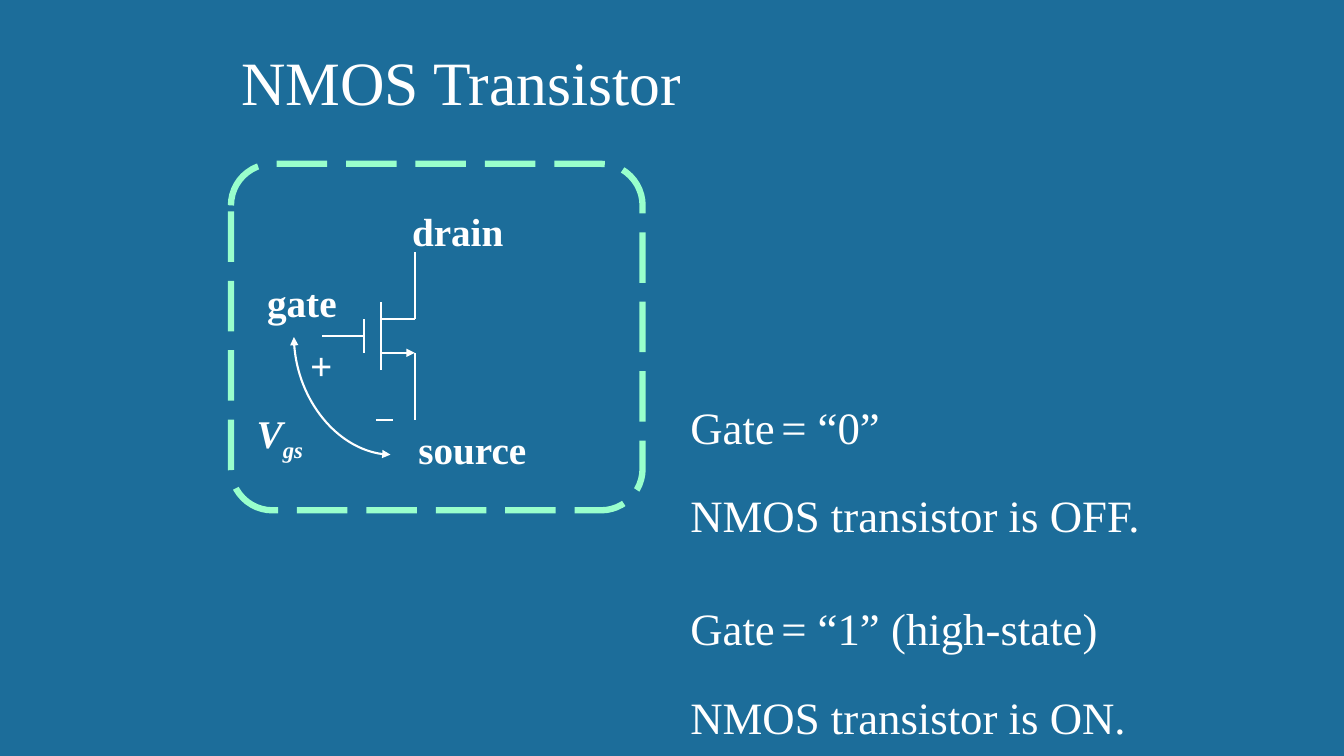
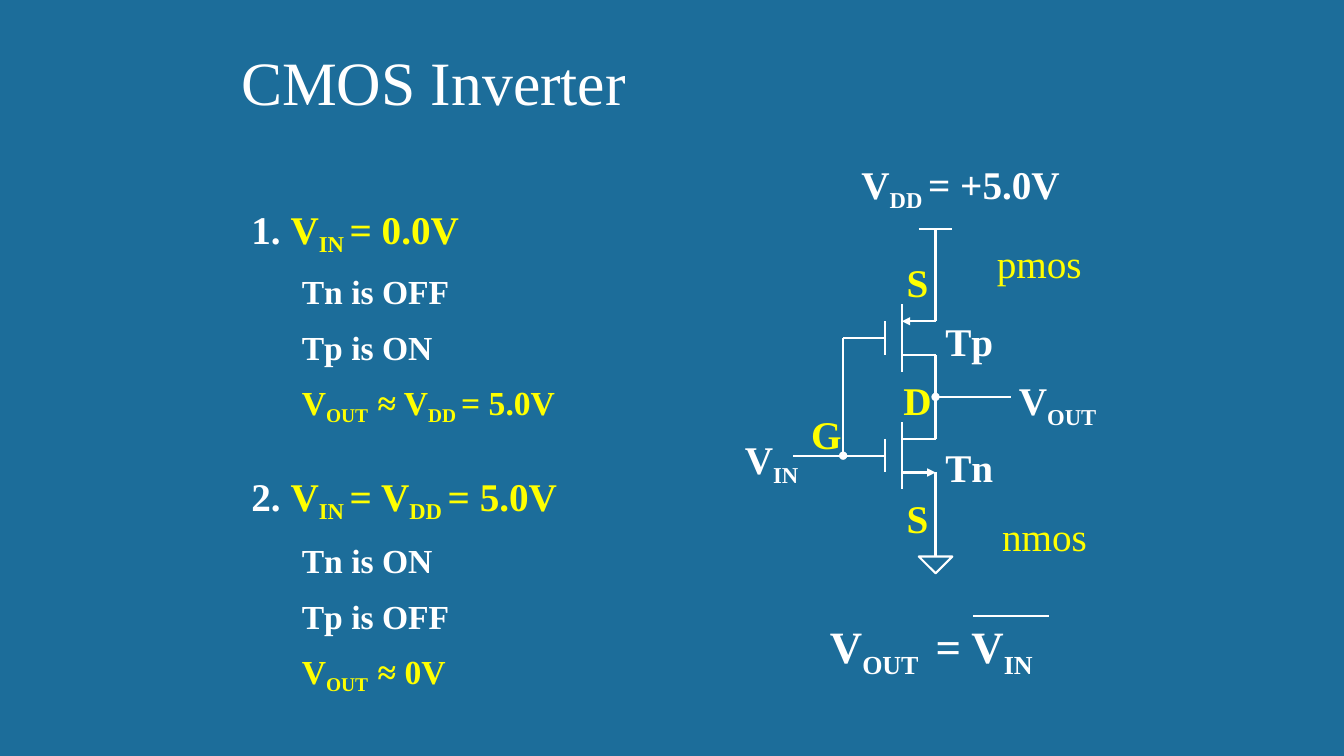
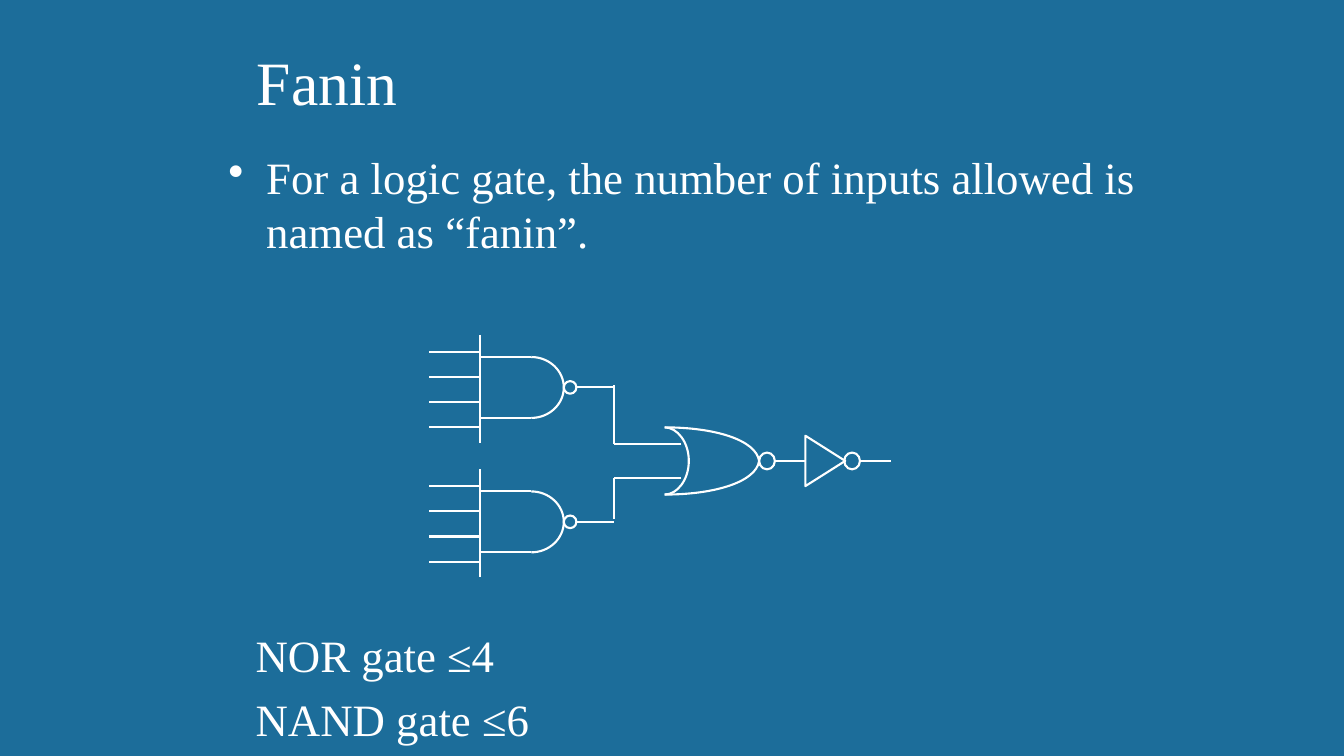
"""Build three slides on transistors, the CMOS inverter and fanin."""
from lxml import etree
from pptx import Presentation
from pptx.dml.color import RGBColor
from pptx.enum.dml import MSO_LINE
from pptx.enum.shapes import MSO_CONNECTOR, MSO_SHAPE
from pptx.enum.text import MSO_ANCHOR, MSO_AUTO_SIZE, PP_ALIGN
from pptx.oxml.ns import qn
from pptx.util import Pt

PX = 9525
FONT = "Times New Roman"
BLUE = RGBColor(0x1C, 0x6D, 0x9A)
WHITE = RGBColor(0xFF, 0xFF, 0xFF)
YELLOW = RGBColor(0xFF, 0xFF, 0x00)
MINT = RGBColor(0x99, 0xFF, 0xCC)
STRAIGHT, CURVE = MSO_CONNECTOR.STRAIGHT, MSO_CONNECTOR.CURVE
TRIANGLE, OVAL = MSO_SHAPE.ISOSCELES_TRIANGLE, MSO_SHAPE.OVAL
ROUNDED = MSO_SHAPE.ROUNDED_RECTANGLE
TOP, BOTTOM = MSO_ANCHOR.TOP, MSO_ANCHOR.BOTTOM
LEFT = PP_ALIGN.LEFT
LONG_DASH = MSO_LINE.LONG_DASH
NO_AUTOSIZE = MSO_AUTO_SIZE.NONE

NMOS_STATES = [
    ([("Gate", 32), (" ", 18), ("= “0”", 32)], 0),
    ([("NMOS transistor is OFF.", 32)], 0),
    ([("Gate", 32), (" ", 18), ("= “1” (high-state)", 32)], 18),
    ([("NMOS transistor is ON.", 32)], 0),
]
NMOS_LABELS = [
    ("drain", 383, 192, 127), ("source", 389, 400, 134),
    ("gate", 245, 260, 88), ("+", 286, 320, 42),
]
CASES = [
    ("1. ", "V|IN |= 0.0V", 1, ["Tn is OFF", "Tp is ON"],
     "V|OUT  |≈ V|DD |= 5.0V"),
    ("2. ", "V|IN |= V|DD |= 5.0V", 2, ["Tn is ON", "Tp is OFF"],
     "V|OUT  |≈ 0V"),
]
INVERTER_LABELS = [
    ("V|DD |= +5.0V", 811, 153, 225, WHITE, True),
    ("V|OUT", 961, 359, 110, WHITE, True),
    ("V|IN", 700, 415, 85, WHITE, True),
    ("Tp", 891, 297, 75, WHITE, True),
    ("Tn", 891, 417, 75, WHITE, True),
    ("G", 763, 385, 50, YELLOW, True),
    ("D", 851, 353, 50, YELLOW, True),
    ("S", 854, 241, 45, YELLOW, True),
    ("S", 854, 465, 45, YELLOW, True),
    ("pmos", 940, 222, 110, YELLOW, False),
    ("nmos", 945, 482, 110, YELLOW, False),
]
FANIN = "For a logic gate, the number of inputs allowed is named as “fanin”."
LIMITS = ["NOR gate ≤4", "NAND gate ≤6"]


def add_runs(paragraph, text, size, color=WHITE, bold=False, italic=False, drop=25):
    for index, piece in enumerate(text.split("|")):
        run = paragraph.add_run()
        run.text = piece
        font = run.font
        font.name, font.size, font.bold, font.italic = FONT, Pt(size), bold, italic
        font.color.rgb = color
        if index % 2:
            run._r.get_or_add_rPr().set("baseline", str(-1000 * drop))


def add_box(slide, left, top, width, height, anchor=TOP):
    box = slide.shapes.add_textbox(left * PX, top * PX, width * PX, height * PX)
    frame = box.text_frame
    frame.word_wrap = True
    frame.vertical_anchor = anchor
    return frame


def add_label(slide, text, left, top, width, color=WHITE, bold=True, italic=False,
              size=28, height=55):
    frame = add_box(slide, left, top, width, height, BOTTOM)
    add_runs(frame.paragraphs[0], text, size, color, bold, italic)


def next_paragraph(frame, pitch, before=0):
    first = not frame.paragraphs[0].runs
    paragraph = frame.paragraphs[0] if first else frame.add_paragraph()
    paragraph.line_spacing = Pt(pitch)
    paragraph.space_before = Pt(0 if first else before)
    return paragraph


def add_wire(slide, x1, y1, x2, y2, head=None, tail=None, kind=STRAIGHT):
    wire = slide.shapes.add_connector(kind, x1 * PX, y1 * PX, x2 * PX, y2 * PX)
    wire.line.color.rgb = WHITE
    wire.line.width = Pt(1.5)
    line = wire.line._get_or_add_ln()
    for tag, end in (("a:headEnd", head), ("a:tailEnd", tail)):
        if end:
            etree.SubElement(line, qn(tag)).set("type", end)
    etree.SubElement(wire._element.spPr, qn("a:effectLst"))
    return wire


def outline(shape, color=WHITE, width=1.5):
    shape.shadow.inherit = False
    shape.fill.background()
    shape.line.color.rgb = color
    shape.line.width = Pt(width)


def add_outline(slide, kind, left, top, width, height, color=WHITE, weight=1.5):
    shape = slide.shapes.add_shape(kind, left * PX, top * PX, width * PX, height * PX)
    outline(shape, color, weight)
    return shape


def add_curve(slide, start, *controls):
    builder = slide.shapes.build_freeform(start[0] * PX, start[1] * PX, scale=1.0)
    builder.add_line_segments([(x * PX, y * PX) for x, y in controls], close=False)
    shape = builder.convert_to_shape()
    outline(shape)
    segments = list(shape._element.iter(qn("a:lnTo")))
    outline_path = segments[0].getparent()
    for index in range(0, len(segments), 3):
        curve = etree.SubElement(outline_path, qn("a:cubicBezTo"))
        for segment in segments[index:index + 3]:
            curve.append(segment[0])
            outline_path.remove(segment)


def add_slide(presentation, title, left=220):
    slide = presentation.slides.add_slide(presentation.slide_layouts[5])
    shape = slide.shapes.title
    shape.left, shape.top, shape.width, shape.height = (
        left * PX, 37 * PX, 816 * PX, 80 * PX)
    frame = shape.text_frame
    frame.auto_size = NO_AUTOSIZE
    frame.vertical_anchor = BOTTOM
    paragraph = frame.paragraphs[0]
    paragraph.alignment = LEFT
    add_runs(paragraph, title, 44)
    return slide


def add_transistor(slide, plate, y, lead, top, bottom, p_type=False):
    channel, terminal = plate + 16, plate + 48
    add_wire(slide, plate, y, lead, y)
    add_wire(slide, plate, y - 16, plate, y + 16)
    add_wire(slide, channel, y - 32, channel, y + 32)
    add_wire(slide, channel, y - 16, terminal, y - 16,
             head="triangle" if p_type else None)
    add_wire(slide, channel, y + 16, terminal, y + 16,
             tail=None if p_type else "triangle")
    if top < y - 16:
        add_wire(slide, terminal, y - 16, terminal, top)
    add_wire(slide, terminal, y + 16, terminal, bottom)


def add_nand(slide, y):
    bar, shoulder, nose = 457, 506, 537
    top, bottom = y - 29, y + 29
    add_wire(slide, bar, y - 50, bar, y + 53)
    add_curve(slide, (shoulder, top), (523, top), (nose, y - 16), (nose, y),
              (nose, y + 16), (523, bottom), (shoulder, bottom))
    for edge in (top, bottom):
        add_wire(slide, shoulder, edge, bar, edge)
    for index in range(4):
        pin = y - 34 + 24 * index
        add_wire(slide, bar, pin, 409, pin)
    add_outline(slide, OVAL, nose, y - 6, 12, 12)
    add_wire(slide, nose + 12, y, 585, y)


def add_nor(slide, y):
    left, tip = 633, 723
    add_curve(slide, (left, y - 32), (645, y - 32), (656, y - 18), (656, y),
              (656, y + 18), (645, y + 32), (left, y + 32))
    for side in (-1, 1):
        edge = y + 32 * side
        add_curve(slide, (left, edge), (681, edge), (720, y + 20 * side), (tip, y))
    add_outline(slide, OVAL, tip, y - 8, 15, 16)


def nmos_slide(presentation):
    slide = add_slide(presentation, "NMOS Transistor")
    frame = add_box(slide, 648, 343, 468, 349)
    for pieces, before in NMOS_STATES:
        paragraph = next_paragraph(frame, 63, before)
        for text, size in pieces:
            add_runs(paragraph, text, size)
    arc = add_wire(slide, 372, 433, 280, 321, "triangle", "triangle", CURVE)
    arc._element.spPr.find(qn("a:prstGeom")).set("prst", "curvedConnector2")
    add_transistor(slide, 347, 320, 307, 240, 400)
    for label in NMOS_LABELS:
        add_label(slide, *label)
    add_wire(slide, 358, 400, 374, 400)
    add_label(slide, "V|gs", 235, 391, 70, italic=True)
    border = add_outline(slide, ROUNDED, 220, 156, 392, 330, MINT, 4.5)
    border.adjustments[0] = 0.12
    border.line.dash_style = LONG_DASH


def inverter_slide(presentation):
    slide = add_slide(presentation, "CMOS Inverter")
    frame = add_box(slide, 230, 189, 478, 504)
    for number, condition, gap, states, result in CASES:
        heading = next_paragraph(frame, 38, 32)
        add_runs(heading, number, 28, bold=True)
        add_runs(heading, condition, 28, YELLOW, bold=True, drop=20)
        first, second = states
        for text, color, before in [
                (first, WHITE, gap), (second, WHITE, 2), (result, YELLOW, 4)]:
            paragraph = next_paragraph(frame, 38, before)
            paragraph.level = 1
            paragraph._p.get_or_add_pPr().set("marL", str(48 * PX))
            add_runs(paragraph, text, 24, color, bold=True, drop=20)
    add_transistor(slide, 843, 322, 803, 218, 418, p_type=True)
    add_transistor(slide, 843, 434, 755, 418, 530)
    add_wire(slide, 891, 378, 963, 378, head="oval")
    add_wire(slide, 803, 322, 803, 434, tail="oval")
    add_wire(slide, 875, 218, 907, 218)
    add_outline(slide, TRIANGLE, 875, 530, 32, 16).rotation = 180
    for label in INVERTER_LABELS:
        add_label(slide, *label)
    add_label(slide, "V|OUT | = V|IN", 781, 591, 262, size=32, height=61)
    add_wire(slide, 999, 587, 927, 587)


def fanin_slide(presentation):
    slide = add_slide(presentation, "Fanin", 235)
    paragraph = add_box(slide, 208, 138, 888, 512).paragraphs[0]
    properties = paragraph._p.get_or_add_pPr()
    properties.set("marL", str(36 * PX))
    properties.set("indent", str(-36 * PX))
    etree.SubElement(properties, qn("a:buChar")).set("char", "•")
    add_runs(paragraph, FANIN, 32)
    middle = 439
    for nand, target, overhang in [(369, middle - 16, -2), (497, middle + 16, -3)]:
        add_nand(slide, nand)
        add_wire(slide, 585, nand + overhang, 585, target)
        add_wire(slide, 649, target, 585, target)
    add_nor(slide, middle)
    add_wire(slide, 738, middle, 767, middle)
    add_outline(slide, TRIANGLE, 762, middle - 19, 48, 38).rotation = 90
    add_outline(slide, OVAL, 804, middle - 8, 15, 16)
    add_wire(slide, 819, middle, 849, middle)
    frame = add_box(slide, 234, 583, 797, 133)
    for text in LIMITS:
        add_runs(next_paragraph(frame, 46), text, 32)


def main():
    presentation = Presentation()
    presentation.slide_width, presentation.slide_height = 1280 * PX, 720 * PX
    background = presentation.slide_master.background.fill
    background.solid()
    background.fore_color.rgb = BLUE
    nmos_slide(presentation)
    inverter_slide(presentation)
    fanin_slide(presentation)
    presentation.save("out.pptx")


if __name__ == "__main__":
    main()
